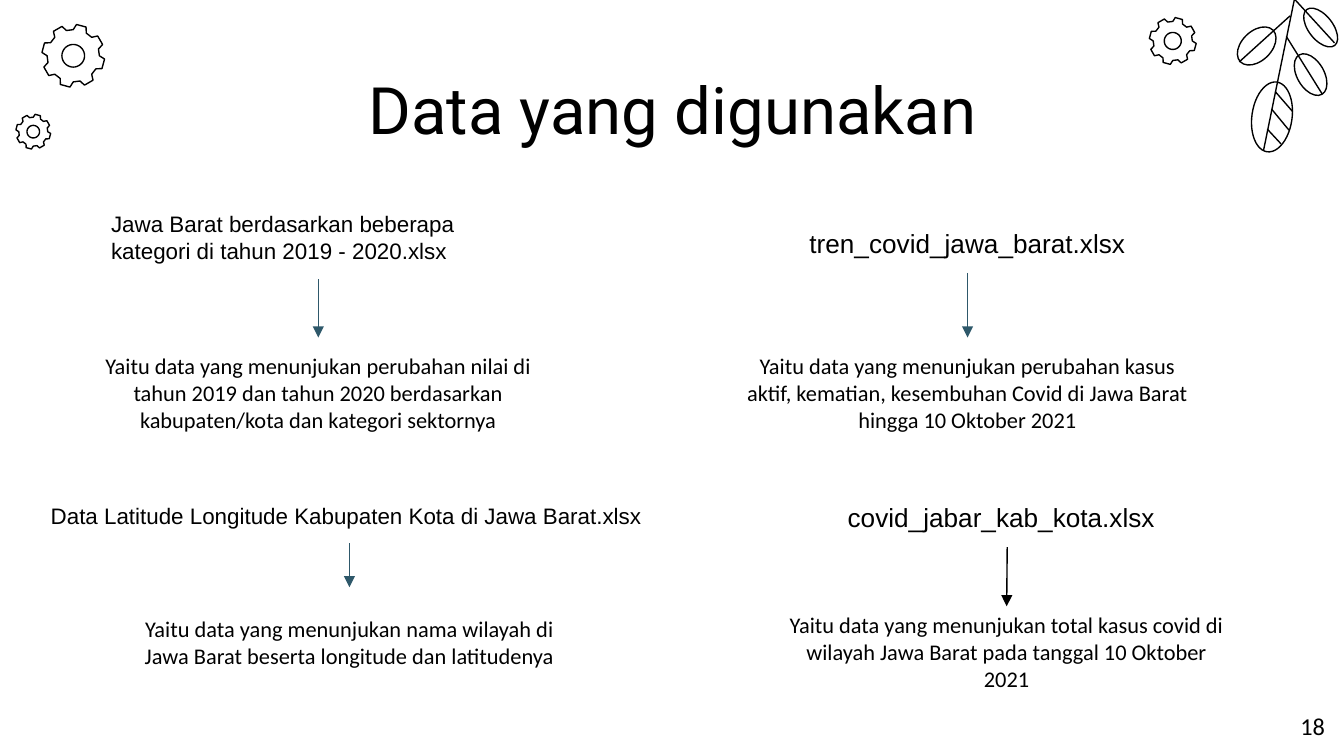
from math import cos, radians, sin

from lxml import etree
from pptx import Presentation
from pptx.dml.color import RGBColor
from pptx.enum.shapes import MSO_CONNECTOR, MSO_SHAPE
from pptx.enum.text import MSO_ANCHOR, MSO_AUTO_SIZE, PP_ALIGN
from pptx.oxml.ns import qn
from pptx.util import Cm, Pt

LEFT, CENTER, RIGHT = PP_ALIGN.LEFT, PP_ALIGN.CENTER, PP_ALIGN.RIGHT
MIDDLE, TOP = MSO_ANCHOR.MIDDLE, MSO_ANCHOR.TOP
OVAL, STRAIGHT = MSO_SHAPE.OVAL, MSO_CONNECTOR.STRAIGHT
NO_FIT = MSO_AUTO_SIZE.NONE

COLORS = {"ink": "000000", "paper": "FFFFFF", "teal": "2E586A"}
LINE_WIDTH = Pt(0.75)


def rgb(name):
    return RGBColor.from_string(COLORS[name])


def write(sp, text, size, font, align=CENTER, anchor=MIDDLE, inset=0):
    tf = sp.text_frame
    tf.word_wrap = True
    tf.auto_size = NO_FIT
    tf.vertical_anchor = anchor
    tf.margin_left = tf.margin_right = tf.margin_top = tf.margin_bottom = Cm(inset)
    p = tf.paragraphs[0]
    p.alignment = align
    r = p.add_run()
    r.text = text
    r.font.size = Pt(size)
    r.font.name = font
    r.font.color.rgb = rgb("ink")


def add_text(s, box, *args, **kwargs):
    sp = s.shapes.add_textbox(*map(Cm, box))
    write(sp, *args, **kwargs)
    return sp


def add_line(s, x1, y1, x2, y2, color="ink", arrow=False):
    cn = s.shapes.add_connector(STRAIGHT, Cm(x1), Cm(y1), Cm(x2), Cm(y2))
    cn.line.color.rgb = rgb(color)
    cn.line.width = LINE_WIDTH
    if arrow:
        etree.SubElement(cn.line._get_or_add_ln(), qn("a:tailEnd"), type="triangle")
    etree.SubElement(cn._element.spPr, qn("a:effectLst"))
    return cn


def outline(sp):
    sp.shadow.inherit = False
    sp.line.color.rgb = rgb("ink")
    sp.line.width = LINE_WIDTH


def add_gear(s, left, top, size):
    """Eight-toothed gear with a round hole."""
    radius = size / 2
    cx, cy = left + radius, top + radius

    def point(angle, ratio):
        a = radians(angle)
        return Cm(cx + radius * ratio * cos(a)), Cm(cy + radius * ratio * sin(a))

    teeth = [point(15 + 45 * k + offset, ratio) for k in range(8)
             for offset, ratio in ((-15, 0.83), (-9, 1), (9, 1), (15, 0.83))]
    hole = [point(10 * k, 0.36) for k in range(36)]
    fb = s.shapes.build_freeform(*teeth[0])
    fb.add_line_segments(teeth[1:], close=True)
    fb.move_to(*hole[0])
    fb.add_line_segments(hole[1:], close=True)
    sp = fb.convert_to_shape()
    sp.fill.background()
    outline(sp)


def add_branch(s, left, top):
    """Leafy twig hanging from the top edge."""
    # Leaves: centre x, centre y, width, height, rotation
    for x, y, w, h, angle in ((0.38, 0.87, 0.56, 0.86, 46),
                              (1.59, 0.52, 0.46, 0.86, -38),
                              (1.4, 1.41, 0.51, 0.86, -30),
                              (0.67, 2.21, 0.76, 1.33, 8)):
        sp = s.shapes.add_shape(OVAL, Cm(left + x - w / 2), Cm(top + y - h / 2),
                                Cm(w), Cm(h))
        sp.rotation = angle
        sp.fill.solid()
        sp.fill.fore_color.rgb = rgb("paper")
        outline(sp)
    # Stem, leaf stalks, then the veins of the lowest leaf
    for x1, y1, x2, y2 in ((1.09, 0, 0.51, 2.84), (0.05, 1.17, 1.01, 0.3),
                           (1.11, 0, 1.85, 0.81), (0.94, 0.69, 1.62, 1.78),
                           (0.73, 1.73, 1.06, 2.11), (0.66, 2.06, 0.99, 2.46),
                           (0.58, 2.44, 0.84, 2.72)):
        add_line(s, left + x1, top + y1, left + x2, top + y2)


def add_flow(s, name_box, desc_box, name, desc, size, align, color="teal"):
    """File name with an arrow down to its description."""
    head = add_text(s, name_box, name, size, "Arial", align, TOP, inset=0.25)
    body = add_text(s, desc_box, desc, 12, "Calibri")
    x = desc_box[0] + desc_box[2] / 2
    cn = add_line(s, x, name_box[1] + name_box[3], x, desc_box[1], color, arrow=True)
    cn.begin_connect(head, 2)
    cn.end_connect(body, 0)


FLOWS = [
    ((1.85, 3.73, 8.33, 1.55), (1.85, 6.38, 8.33, 2.08),
     "Jawa Barat berdasarkan beberapa kategori di tahun 2019 - 2020.xlsx",
     "Yaitu data yang menunjukan perubahan nilai di tahun 2019 dan tahun 2020 "
     "berdasarkan kabupaten/kota dan kategori sektornya", 12, LEFT),
    ((14.12, 4.04, 8.33, 1.12), (14.12, 6.38, 8.33, 2.08),
     "tren_covid_jawa_barat.xlsx",
     "Yaitu data yang menunjukan perubahan kasus aktif, kematian, kesembuhan "
     "Covid di Jawa Barat hingga 10 Oktober 2021", 14, CENTER),
    ((0.71, 9.25, 11.79, 1.02), (2.44, 11.1, 8.33, 2.08),
     "Data Latitude Longitude Kabupaten Kota di Jawa Barat.xlsx",
     "Yaitu data yang menunjukan nama wilayah di Jawa Barat beserta longitude "
     "dan latitudenya", 12, LEFT),
    ((15.77, 9.22, 6.53, 1.12), (14.86, 11.46, 8.33, 1.7),
     "covid_jabar_kab_kota.xlsx",
     "Yaitu data yang menunjukan total kasus covid di wilayah Jawa Barat pada "
     "tanggal 10 Oktober 2021", 14, LEFT, "ink"),
]


def main():
    prs = Presentation()
    prs.slide_width, prs.slide_height = Cm(25.4), Cm(14.29)
    s = prs.slides.add_slide(prs.slide_layouts[5])

    # Decorations
    add_branch(s, 23.37, 0)
    for gear in ((21.72, 0.33, 0.89), (0.79, 0.46, 1.19), (0.3, 2.16, 0.66)):
        add_gear(s, *gear)

    # Title
    title = s.shapes.title
    title.left, title.top, title.width, title.height = map(Cm, (2.01, 1.24, 21.41, 1.6))
    write(title, "Data yang digunakan", 35, "Roboto")

    # Data files and their descriptions
    for flow in FLOWS:
        add_flow(s, *flow)

    # Slide number
    add_text(s, (23.77, 13.18, 1.52, 1.09), "18", 13, "Calibri", RIGHT, inset=0.25)

    prs.save("out.pptx")


if __name__ == "__main__":
    main()
